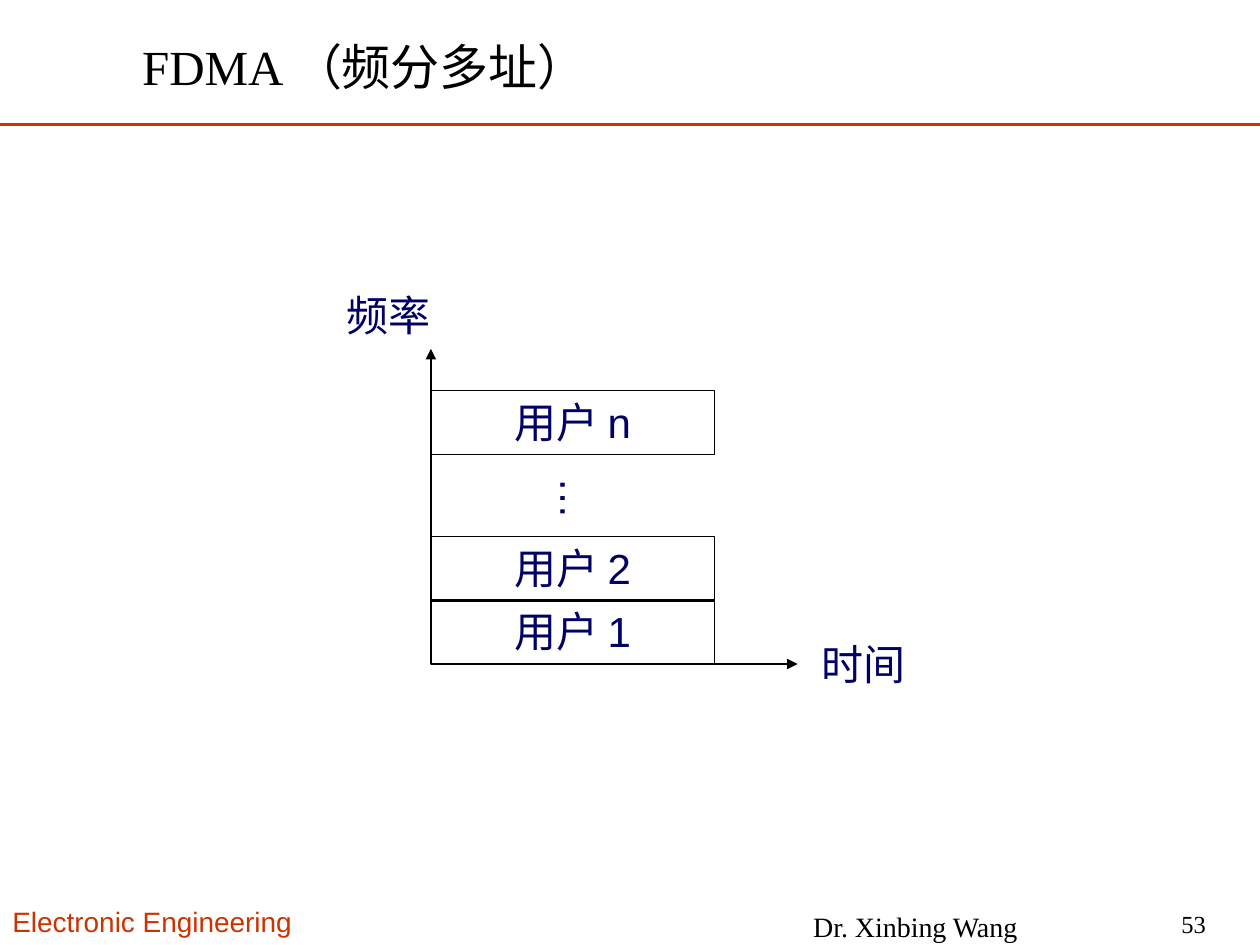
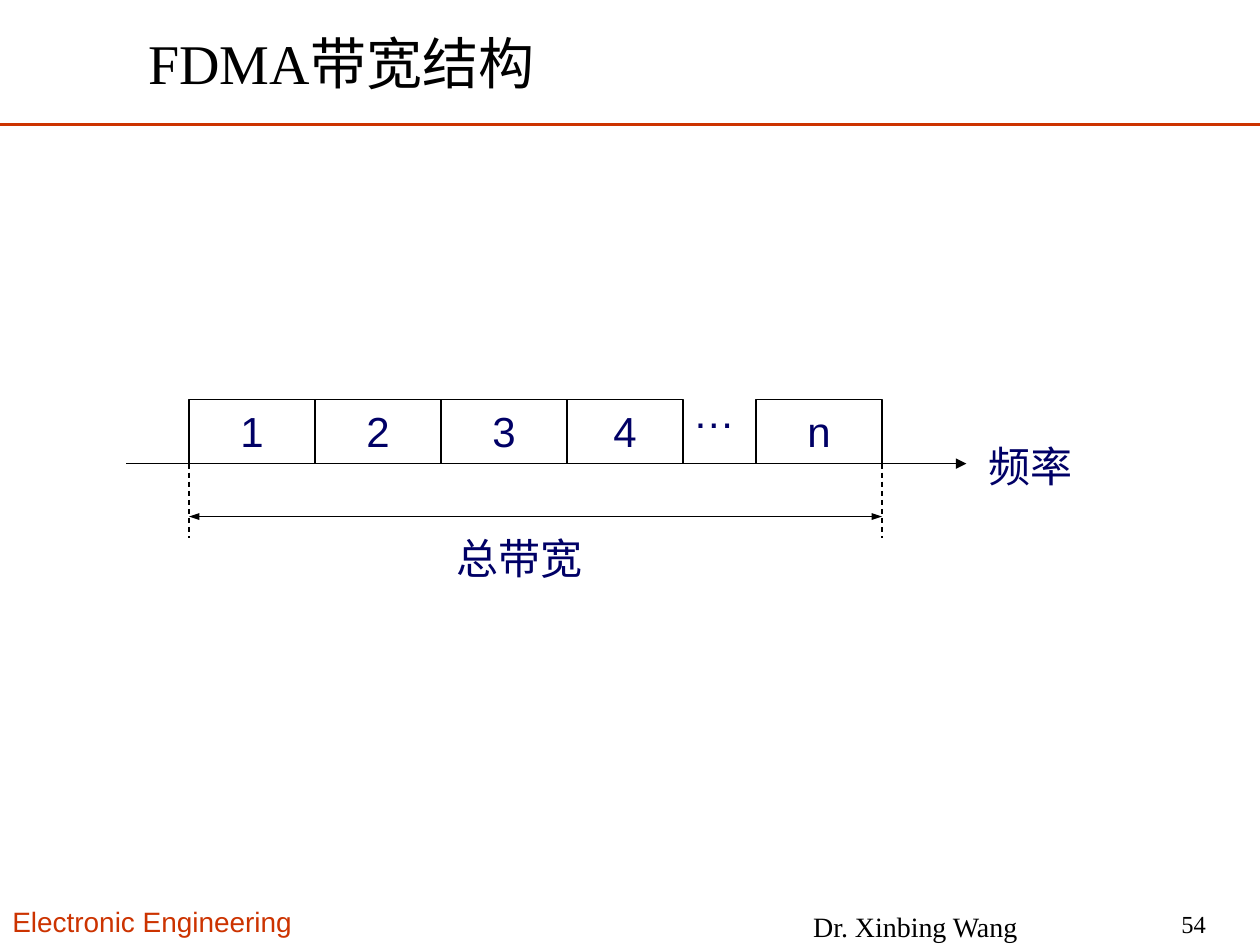
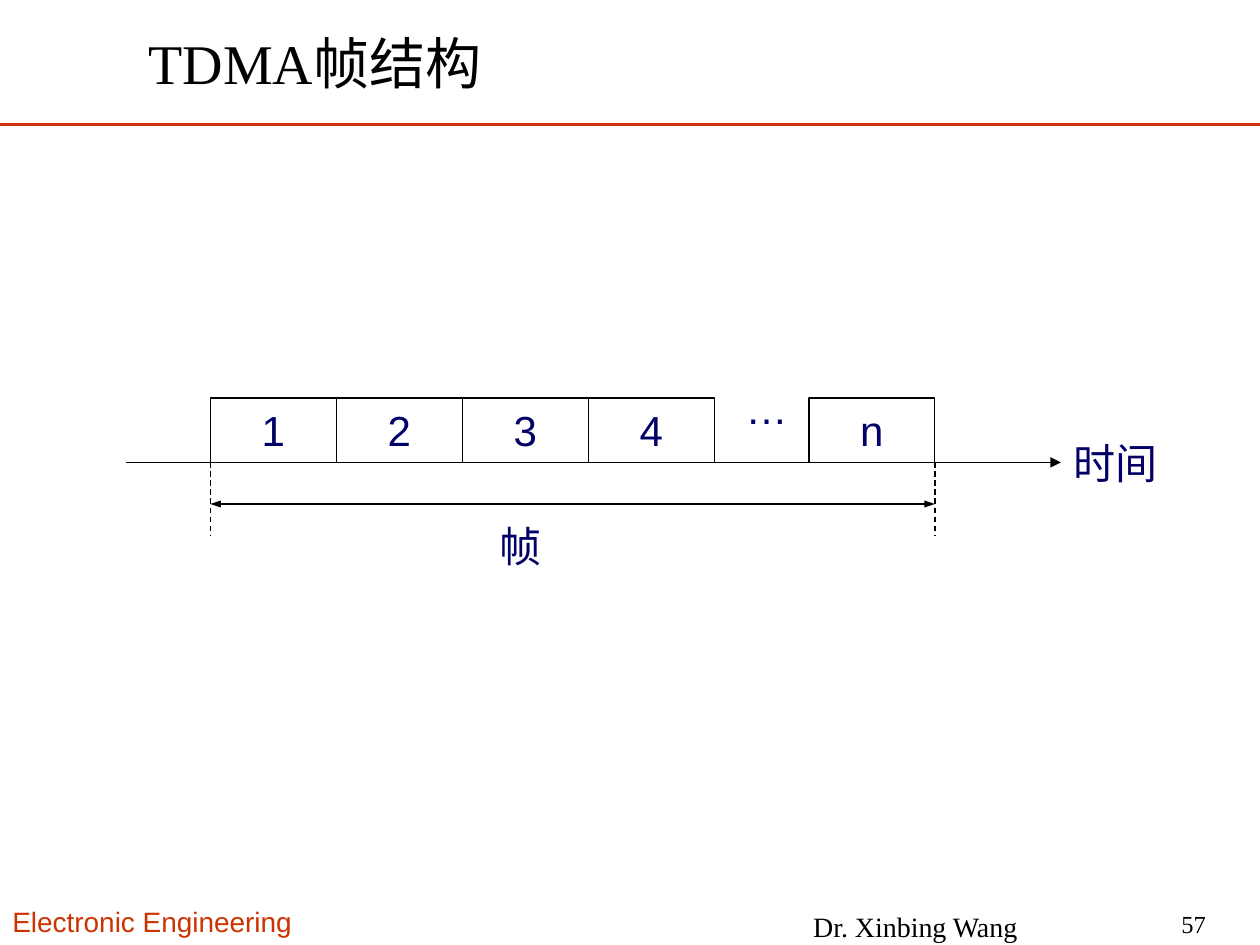
from lxml.etree import SubElement
from pptx import Presentation
from pptx.dml.color import RGBColor
from pptx.enum.dml import MSO_LINE_DASH_STYLE as Dash
from pptx.enum.shapes import MSO_CONNECTOR as Connector, MSO_SHAPE as Shape
from pptx.enum.text import MSO_ANCHOR as Anchor, PP_ALIGN as Align
from pptx.oxml.ns import qn
from pptx.util import Inches, Pt

COLORS = {"accent": "CC3300", "ink": "000000", "label": "000066"}
SANS, SERIF = "Arial", "Times New Roman"
BOX_HEIGHT = 0.51
LABEL_HEIGHT = 0.5


def color(name):
    return RGBColor.from_string(COLORS[name])


class SlideBuilder:
    def __init__(self, deck):
        self.deck = deck
        self.page = None

    def start(self, title, number, left=1.08, top=0.15, width=6.63, height=0.69, size=32):
        self.page = self.deck.slides.add_slide(self.deck.slide_layouts[6])
        self.line((0, 0.99), (10, 0.99), "accent", 1.5)
        self.label("Electronic Engineering", 0, 7.13, 2.55, 0.37, size=16, ink="accent")
        self.label("Dr. Xinbing Wang", 6.05, 7.23, 2.43, 0.25, Align.CENTER,
                   16, SERIF, "ink", Anchor.MIDDLE)
        self.label(str(number), 8.84, 7.21, 0.83, 0.25, Align.RIGHT,
                   14, SERIF, "ink", Anchor.MIDDLE)
        self.label(title, left, top, width, height, Align.LEFT,
                   size, SERIF, "ink", Anchor.MIDDLE)

    def add_words(self, box, words, align, size, font, ink, anchor):
        frame = box.text_frame
        frame.word_wrap = True
        frame.vertical_anchor = anchor
        para = frame.paragraphs[0]
        para.alignment = align
        span = para.add_run()
        span.text = words
        span.font.size = Pt(size)
        span.font.name = font
        span.font.color.rgb = color(ink)

    def label(self, words, left, top, width, height=LABEL_HEIGHT, align=Align.LEFT,
              size=24, font=SANS, ink="label", anchor=Anchor.TOP, rotation=0):
        box = self.page.shapes.add_textbox(Inches(left), Inches(top),
                                           Inches(width), Inches(height))
        box.rotation = rotation
        self.add_words(box, words, align, size, font, ink, anchor)

    def slot(self, words, left, top, width=1):
        box = self.page.shapes.add_shape(Shape.RECTANGLE, Inches(left), Inches(top),
                                         Inches(width), Inches(BOX_HEIGHT))
        box.shadow.inherit = False
        box.fill.background()
        box.line.color.rgb = color("ink")
        box.line.width = Pt(0.75)
        self.add_words(box, words, Align.CENTER, 24, SANS, "label", Anchor.TOP)

    def line(self, start, end, ink="ink", weight=0.75, dash=None, arrows=(), arrow_width="med"):
        link = self.page.shapes.add_connector(Connector.STRAIGHT,
                                              *map(Inches, (*start, *end)))
        link.line.color.rgb = color(ink)
        link.line.width = Pt(weight)
        if dash:
            link.line.dash_style = dash
        properties = link._element.spPr
        outline = properties.find(qn("a:ln"))
        for arrow in arrows:
            SubElement(outline, qn(f"a:{arrow}"), type="triangle", w=arrow_width, len="med")
        SubElement(properties, qn("a:effectLst"))

    def axis(self, start, end):
        self.line(start, end, arrows=("tailEnd",))

    def slot_row(self, left, base, last_left, fourth_width, axis_end, ellipsis_top):
        top = base - BOX_HEIGHT
        self.axis((1, base), (axis_end, base))
        for index, width in enumerate((1, 1, 1, fourth_width)):
            self.slot(str(index + 1), left + index, top, width)
        self.slot("n", last_left, top)
        self.label("…", last_left - 0.71, ellipsis_top, 0.75, align=Align.CENTER)

    def extent(self, left, right, base, drop, level):
        for x in (left, right):
            self.line((x, base), (x, base + drop), dash=Dash.DASH)
        self.line((left, level), (right, level), arrows=("headEnd", "tailEnd"),
                  arrow_width="sm")


def frequency_division(builder):
    builder.start("FDMA （频分多址）", 53, 1.03, 0.16, 7.58, 0.72, 28)
    left, base = 3.42, 5.27
    builder.axis((left, base), (6.33, base))
    builder.axis((left, base), (left, 2.77))
    for user, top in (("1", 4.76), ("2", 4.26), ("n", 3.1)):
        builder.slot(f"用户 {user}", left, top, 2.25)
    builder.label("…", 4.29, 3.73, 0.58, rotation=90)
    builder.label("时间", 6.42, 5.02, 1)
    builder.label("频率", 2.01, 2.25, 2.15, align=Align.CENTER)


def bandwidth_structure(builder):
    builder.start("FDMA带宽结构", 54)
    builder.slot_row(1.5, 3.68, 6, 0.92, 7.67, 3.02)
    builder.extent(1.5, 7, 3.68, 0.59, 4.1)
    builder.label("频率", 7.75, 3.45, 1.88)
    builder.label("总带宽", 2.5, 4.18, 3.25, align=Align.CENTER)


def frame_structure(builder):
    builder.start("TDMA帧结构", 57)
    builder.slot_row(1.67, 3.67, 6.42, 1, 8.42, 2.99)
    builder.extent(1.67, 7.42, 3.67, 0.58, 4)
    builder.label("时间", 8.42, 3.42, 1.23)
    builder.label("帧", 2.67, 4.08, 2.92, align=Align.CENTER)


def main():
    deck = Presentation()
    deck.slide_width, deck.slide_height = Inches(10), Inches(7.5)
    builder = SlideBuilder(deck)
    frequency_division(builder)
    bandwidth_structure(builder)
    frame_structure(builder)
    deck.save("out.pptx")


if __name__ == "__main__":
    main()
